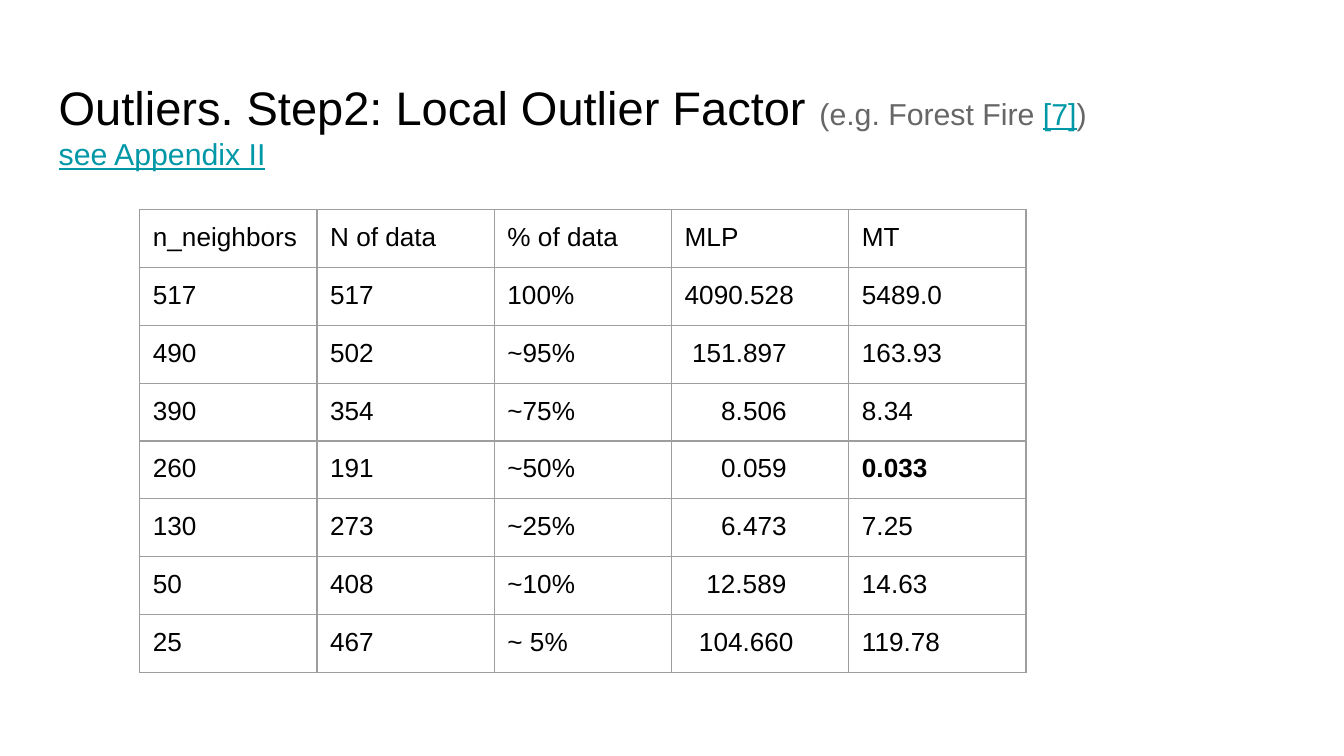
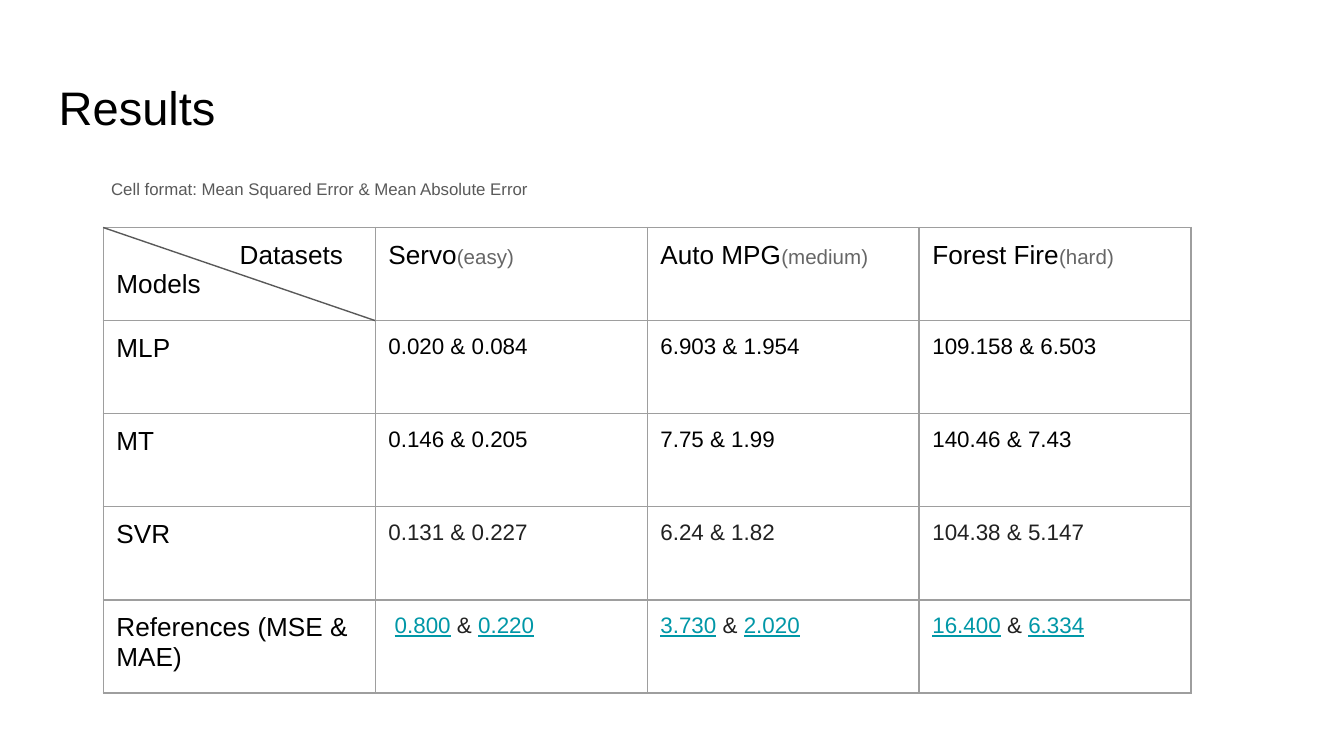
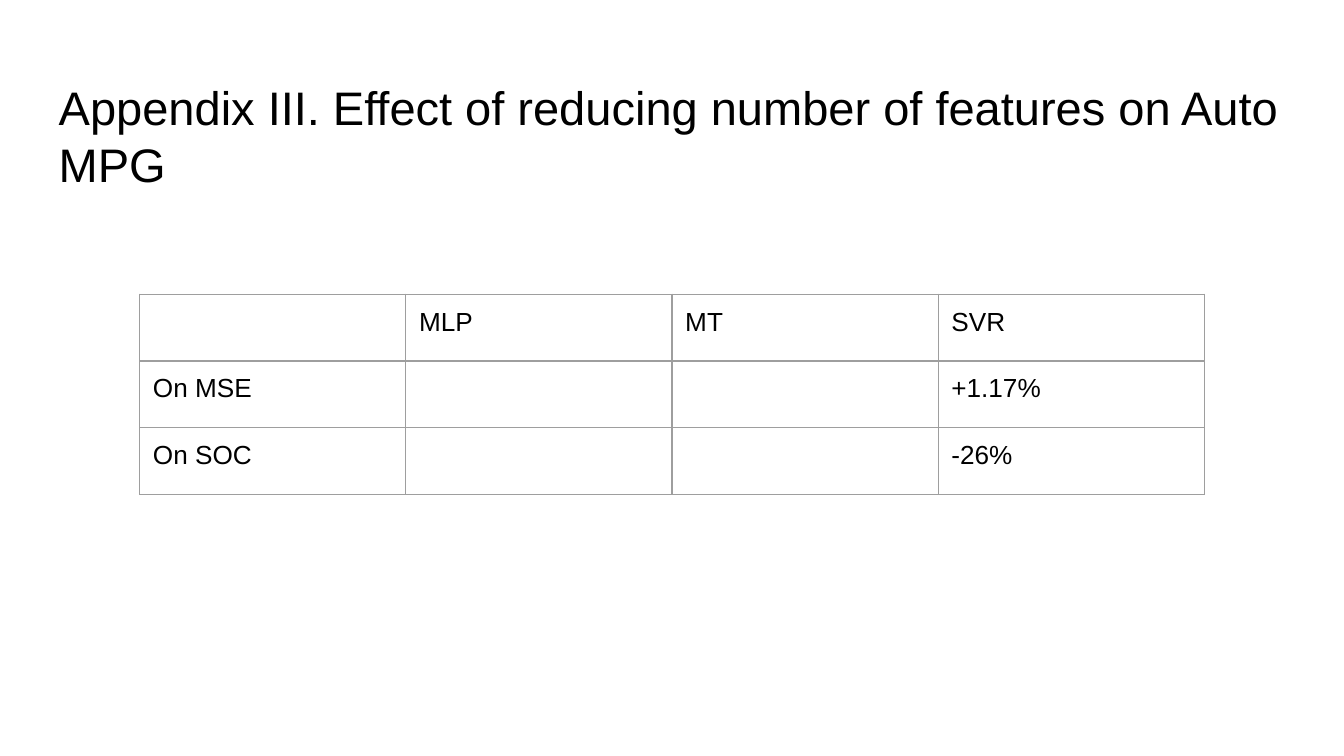
from dataclasses import dataclass, replace

import lxml.etree
import pptx
import pptx.dml.color
import pptx.enum.shapes
import pptx.enum.text
import pptx.oxml.ns
import pptx.util
from pptx.util import Cm

COLORS = {
    "background": "FFFFFF",
    "text": "000000",
    "muted": "666666",
    "caption": "595959",
    "figure": "212121",
    "link": "0097A7",
    "border": "9E9E9E",
}
FONT = "Arial"
TITLE_SIZE = 25.2
NOTE_SIZE = 16.2
INSET = Cm(0.25)
LINE_WIDTH = pptx.util.Pt(0.75)


@dataclass(frozen=True)
class Span:
    text: str
    size: float = 14
    color: str = "text"
    bold: bool = False
    underline: bool = False


@dataclass(frozen=True)
class Para:
    spans: tuple[Span, ...]
    margin: float = 0
    first_line: float = 0
    line_spacing: float = 1.0
    space_after: float = 0


Cell = tuple[Para, ...]


@dataclass(frozen=True)
class TextBlock:
    left: float
    top: float
    width: float
    height: float
    paras: tuple[Para, ...]


@dataclass(frozen=True)
class Grid:
    left: float
    top: float
    column_width: float
    row_height: float
    rows: tuple[tuple[Cell, ...], ...]


def rgb(name: str) -> pptx.dml.color.RGBColor:
    return pptx.dml.color.RGBColor.from_string(COLORS[name])


def entry(*spans: Span, margin: float = 0) -> Cell:
    return (Para(spans, margin=margin),)


def label(text: str, size: float = 14, color: str = "text", margin: float = 0) -> Cell:
    return entry(Span(text, size, color), margin=margin) if text else ()


def link(text: str, size: float) -> Span:
    return Span(text, size, "link", underline=True)


def title(*paras: Para, height: float = 1.6) -> TextBlock:
    return TextBlock(0.86, 1.24, 23.67, height, paras)


def heading(text: str) -> Para:
    return Para((Span(text, TITLE_SIZE),))


def write_paras(frame: pptx.text.text.TextFrame, paras: tuple[Para, ...]) -> None:
    for index, para in enumerate(paras):
        paragraph = frame.add_paragraph() if index else frame.paragraphs[0]
        paragraph.alignment = pptx.enum.text.PP_ALIGN.LEFT
        paragraph.line_spacing = para.line_spacing
        paragraph.space_after = pptx.util.Pt(para.space_after)
        properties = paragraph._p.get_or_add_pPr()
        properties.set("marL", str(Cm(para.margin)))
        properties.set("indent", str(Cm(para.first_line)))
        for span in para.spans:
            run = paragraph.add_run()
            run.text = span.text
            run.font.name = FONT
            run.font.size = pptx.util.Pt(span.size)
            run.font.bold = span.bold
            run.font.underline = span.underline
            run.font.color.rgb = rgb(span.color)


def draw_text(page: pptx.slide.Slide, block: TextBlock) -> None:
    box = page.shapes.add_textbox(
        Cm(block.left), Cm(block.top), Cm(block.width), Cm(block.height)
    )
    frame = box.text_frame
    frame.word_wrap = True
    frame.margin_left = frame.margin_right = INSET
    frame.margin_top = frame.margin_bottom = INSET
    write_paras(frame, block.paras)


def outline_cell(cell: pptx.table._Cell) -> None:
    properties = cell._tc.get_or_add_tcPr()
    qn = pptx.oxml.ns.qn
    for side in ("a:lnL", "a:lnR", "a:lnT", "a:lnB"):
        line = lxml.etree.SubElement(properties, qn(side), w=str(LINE_WIDTH))
        fill = lxml.etree.SubElement(line, qn("a:solidFill"))
        lxml.etree.SubElement(fill, qn("a:srgbClr"), val=COLORS["border"])


def draw_grid(page: pptx.slide.Slide, grid: Grid) -> None:
    row_count, column_count = len(grid.rows), len(grid.rows[0])
    table = page.shapes.add_table(
        row_count,
        column_count,
        Cm(grid.left),
        Cm(grid.top),
        Cm(grid.column_width * column_count),
        Cm(grid.row_height * row_count),
    ).table
    table.first_row = table.horz_banding = False
    for column in table.columns:
        column.width = Cm(grid.column_width)
    for row, contents in zip(table.rows, grid.rows):
        row.height = Cm(grid.row_height)
        for cell, paras in zip(row.cells, contents):
            outline_cell(cell)
            cell.fill.background()
            cell.margin_left = cell.margin_right = INSET
            cell.margin_top = cell.margin_bottom = INSET
            write_paras(cell.text_frame, paras)


def draw_diagonal(page: pptx.slide.Slide, grid: Grid) -> None:
    line = page.shapes.add_connector(
        pptx.enum.shapes.MSO_CONNECTOR.STRAIGHT,
        Cm(grid.left),
        Cm(grid.top),
        Cm(grid.left + grid.column_width),
        Cm(grid.top + grid.row_height),
    )
    line.line.color.rgb = rgb("caption")
    line.line.width = LINE_WIDTH
    lxml.etree.SubElement(line._element.spPr, pptx.oxml.ns.qn("a:effectLst"))


def add_page(deck: pptx.presentation.Presentation) -> pptx.slide.Slide:
    page = deck.slides.add_slide(deck.slide_layouts[6])
    page.background.fill.solid()
    page.background.fill.fore_color.rgb = rgb("background")
    return page


def outlier_row(
    neighbors: str, count: str, share: str, mlp: str, mt: str, mlp_margin: float
) -> tuple[Cell, ...]:
    return (
        label(neighbors),
        label(count),
        label(share),
        label(mlp, margin=mlp_margin),
        label(mt),
    )


def build_outliers(deck: pptx.presentation.Presentation) -> None:
    page = add_page(deck)
    first_line = Para(
        (
            Span("Outliers. Step2: Local Outlier Factor ", TITLE_SIZE),
            Span("(e.g. Forest Fire ", NOTE_SIZE, "muted"),
            link("[7]", NOTE_SIZE),
            Span(")", NOTE_SIZE, "muted"),
        )
    )
    second_line = Para((link("see Appendix II", NOTE_SIZE),))
    draw_text(page, title(first_line, second_line, height=2.06))
    rows = [
        outlier_row(*values)
        for values in (
            ("n_neighbors", "N of data", "% of data", "MLP", "MT", 0),
            ("517", "517", "100%", "4090.528", "5489.0", 0),
            ("490", "502", "~95%", "151.897", "163.93", 0.14),
            ("390", "354", "~75%", "8.506", "8.34", 0.69),
            ("260", "191", "~50%", "0.059", "0.033", 0.69),
            ("130", "273", "~25%", "6.473", "7.25", 0.69),
            ("50", "408", "~10%", "12.589", "14.63", 0.41),
            ("25", "467", "~ 5%", "104.660", "119.78", 0.27),
        )
    ]
    best = rows[4][-1][0].spans[0]
    rows[4] = (*rows[4][:-1], entry(replace(best, bold=True)))
    draw_grid(page, Grid(2.64, 3.96, 3.35, 1.06, tuple(rows)))


def dataset(name: str, difficulty: str) -> Cell:
    return entry(Span(name), Span(f"({difficulty})", 11, "muted"))


def scores(model: str, color: str, *values: str) -> tuple[Cell, ...]:
    return (label(model), *(label(value, 12, color) for value in values))


def reference(mse: str, mae: str, margin: float = 0) -> Cell:
    return entry(
        link(mse, 12), Span(" & ", 12, "figure"), link(mae, 12), margin=margin
    )


def build_results(deck: pptx.presentation.Presentation) -> None:
    page = add_page(deck)
    draw_text(page, title(heading("Results")))
    caption = Para(
        (Span("Cell format: Mean Squared Error & Mean Absolute Error", 9, "caption"),),
        margin=1.27,
        first_line=1.27,
        line_spacing=1.15,
        space_after=12,
    )
    draw_text(page, TextBlock(-0.69, 3.1, 23.67, 9.5, (caption,)))
    corner = label("Datasets", margin=2.33) + label("Models")
    rows = (
        (
            corner,
            dataset("Servo", "easy"),
            dataset("Auto MPG", "medium"),
            dataset("Forest Fire", "hard"),
        ),
        scores("MLP", "text", "0.020 & 0.084", "6.903 & 1.954", "109.158 & 6.503"),
        scores("MT", "text", "0.146 & 0.205", "7.75 & 1.99", "140.46 & 7.43"),
        scores("SVR", "figure", "0.131 & 0.227", "6.24 & 1.82", "104.38 & 5.147"),
        (
            label("References (MSE & MAE)"),
            reference("0.800", "0.220", margin=0.12),
            reference("3.730", "2.020"),
            reference("16.400", "6.334"),
        ),
    )
    grid = Grid(1.95, 4.3, 5.14, 1.76, rows)
    draw_grid(page, grid)
    draw_diagonal(page, grid)


def build_appendix(deck: pptx.presentation.Presentation) -> None:
    page = add_page(deck)
    draw_text(
        page,
        title(heading("Appendix III. Effect of reducing number of features on Auto MPG")),
    )
    texts = (
        ("", "MLP", "MT", "SVR"),
        ("On MSE", "", "", "+1.17%"),
        ("On SOC", "", "", "-26%"),
    )
    rows = tuple(tuple(label(text) for text in row) for row in texts)
    draw_grid(page, Grid(2.64, 5.56, 5.03, 1.22, rows))


def main() -> None:
    deck = pptx.Presentation()
    deck.slide_width = Cm(25.4)
    deck.slide_height = Cm(14.29)
    build_outliers(deck)
    build_results(deck)
    build_appendix(deck)
    deck.save("out.pptx")


if __name__ == "__main__":
    main()
